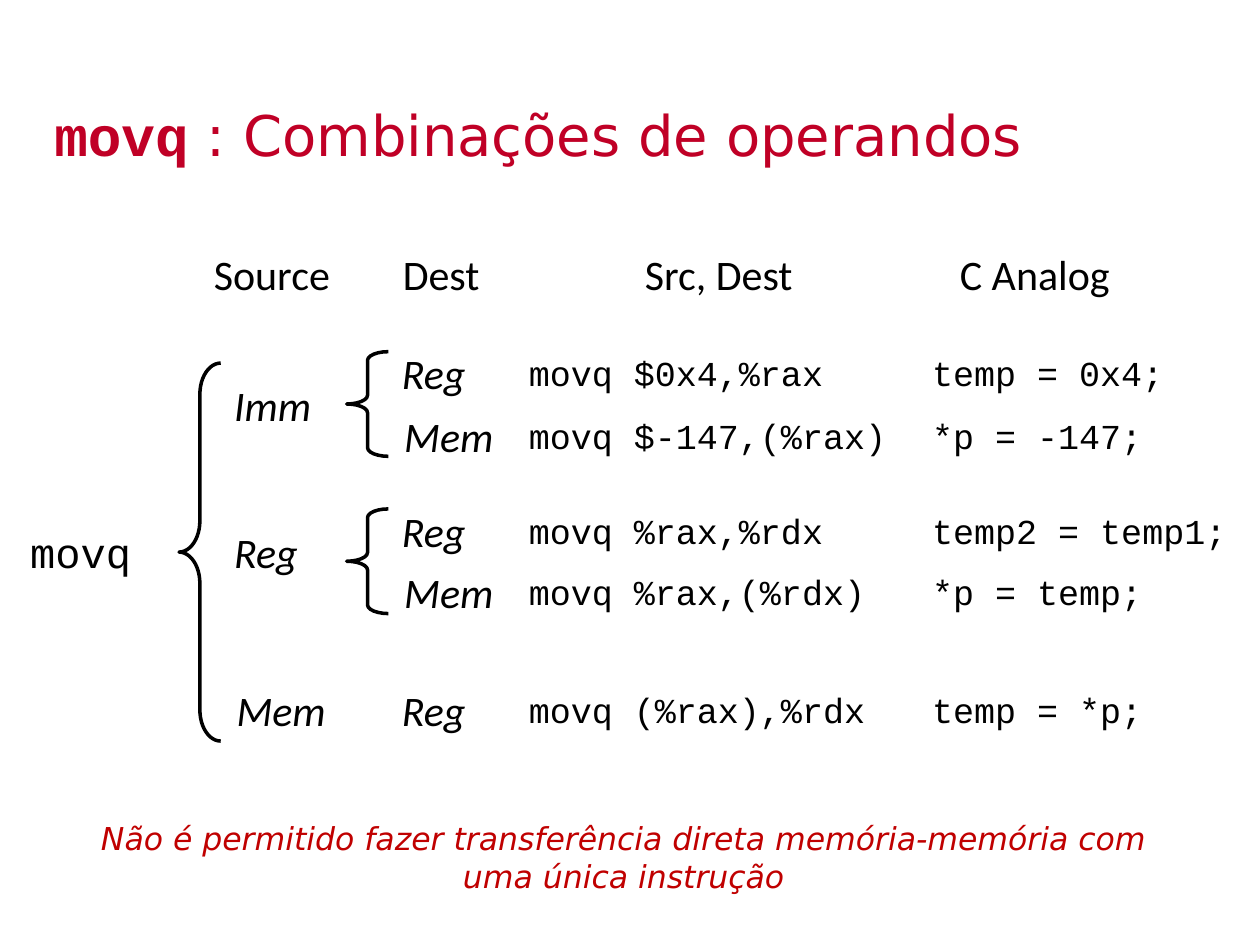
from pptx import Presentation
from pptx.dml.color import RGBColor
from pptx.enum.shapes import MSO_SHAPE
from pptx.enum.text import MSO_ANCHOR, PP_ALIGN
from pptx.util import Cm, Pt

LEFT_BRACE = MSO_SHAPE.LEFT_BRACE
TOP = MSO_ANCHOR.TOP
LEFT, CENTER = PP_ALIGN.LEFT, PP_ALIGN.CENTER

BLACK = RGBColor(0x00, 0x00, 0x00)
CRIMSON = RGBColor(0xC0, 0x00, 0x26)
RED = RGBColor(0xC0, 0x00, 0x00)
SANS, MONO, LABEL = "DejaVu Sans", "Courier New", "Calibri"

# Content
TITLE = [("movq", MONO, True), (" : Combinações de operandos", SANS, False)]
NOTE = ("Não é permitido fazer transferência direta memória-memória com "
        "uma única instrução")
INSTRUCTION = "movq"
HEADERS = [  # text, left, width
    ("Source", 4.06, 3.45),
    ("Dest", 7.87, 2.84),
    ("Src, Dest", 12.75, 4.39),
    ("C Analog", 19.1, 3.53),
]
SOURCES = [("Imm", 7.52), ("Reg", 10.49), ("Mem", 13.67)]  # text, top
COMBINATIONS = [  # destination, instruction, C analog, top
    ("Reg", "movq $0x4,%rax", "temp = 0x4;", 6.88),
    ("Mem", "movq $-147,(%rax)", "*p = -147;", 8.15),
    ("Reg", "movq %rax,%rdx", "temp2 = temp1;", 10.06),
    ("Mem", "movq %rax,(%rdx)", "*p = temp;", 11.3),
    ("Reg", "movq (%rax),%rdx", "temp = *p;", 13.67),
]
BRACES = [  # left, top, height, curve
    (3.61, 7.32, 7.62, 0.75),
    (6.99, 7.09, 2.11, 0.21),
    (6.99, 10.26, 2.11, 0.21),
]

# Layout in centimetres
SOURCE_LEFT, DEST_LEFT, CODE_LEFT, ANALOG_LEFT = 4.47, 7.85, 10.41, 18.54
LABEL_WIDTH, CODE_WIDTH, ANALOG_WIDTH = 2.9, 8.69, 6.8
LABEL_HEIGHT, CODE_HEIGHT = 1.27, 1.09
HEADER_TOP, CODE_DROP, MEM_SHIFT = 4.88, 0.08, 0.05
BRACE_WIDTH = 0.84


def style(span, font, size, color, bold=False, italic=False):
    span.font.name = font
    span.font.size = Pt(size)
    span.font.color.rgb = color
    span.font.bold = bold
    span.font.italic = italic


def add_text(page, text, left, top, width, height, font, size,
             color=BLACK, italic=False):
    box = page.shapes.add_textbox(Cm(left), Cm(top), Cm(width), Cm(height))
    box.text_frame.word_wrap = True
    box.text_frame.text = text
    style(box.text_frame.paragraphs[0].runs[0], font, size, color, italic=italic)
    return box


def add_operand(page, text, left, top):
    shift = MEM_SHIFT if text == "Mem" else 0
    add_text(page, text, left + shift, top, LABEL_WIDTH, LABEL_HEIGHT,
             LABEL, 24, italic=True)


def add_title(page):
    title = page.shapes.title
    title.left, title.top, title.width, title.height = (
        Cm(0.84), Cm(1.9), Cm(22.2), Cm(1.6))
    title.text_frame.vertical_anchor = TOP
    para = title.text_frame.paragraphs[0]
    para.alignment = LEFT
    for text, font, bold in TITLE:
        span = para.add_run()
        span.text = text
        style(span, font, 32, CRIMSON, bold=bold)


def add_note(page):
    box = add_text(page, NOTE, 1.27, 16.51, 22.61, 1.47, SANS, 18, RED, True)
    frame = box.text_frame
    frame.margin_left = frame.margin_right = 0
    frame.margin_top = frame.margin_bottom = 0
    frame.paragraphs[0].alignment = CENTER


def add_brace(page, left, top, height, curve):
    brace = page.shapes.add_shape(
        LEFT_BRACE, Cm(left), Cm(top), Cm(BRACE_WIDTH), Cm(height))
    brace.adjustments[0] = curve
    brace.shadow.inherit = False
    brace.fill.background()
    brace.line.color.rgb = BLACK
    brace.line.width = Pt(2)


def main():
    deck = Presentation()
    deck.slide_width, deck.slide_height = Cm(25.4), Cm(19.05)
    page = deck.slides.add_slide(deck.slide_layouts.get_by_name("Title Only"))
    add_title(page)

    # Column headings
    for text, left, width in HEADERS:
        add_text(page, text, left, HEADER_TOP, width, LABEL_HEIGHT, LABEL, 24)

    # Tree of operands
    add_text(page, INSTRUCTION, 0.36, 10.49, LABEL_WIDTH, LABEL_HEIGHT, MONO, 24)
    for text, top in SOURCES:
        add_operand(page, text, SOURCE_LEFT, top)
    for brace in BRACES:
        add_brace(page, *brace)

    # Combinations with their code
    for dest, code, analog, top in COMBINATIONS:
        add_operand(page, dest, DEST_LEFT, top)
        for text, left, width in ((code, CODE_LEFT, CODE_WIDTH),
                                  (analog, ANALOG_LEFT, ANALOG_WIDTH)):
            add_text(page, text, left, top + CODE_DROP, width, CODE_HEIGHT,
                     MONO, 20)

    add_note(page)
    deck.save("out.pptx")


if __name__ == "__main__":
    main()
